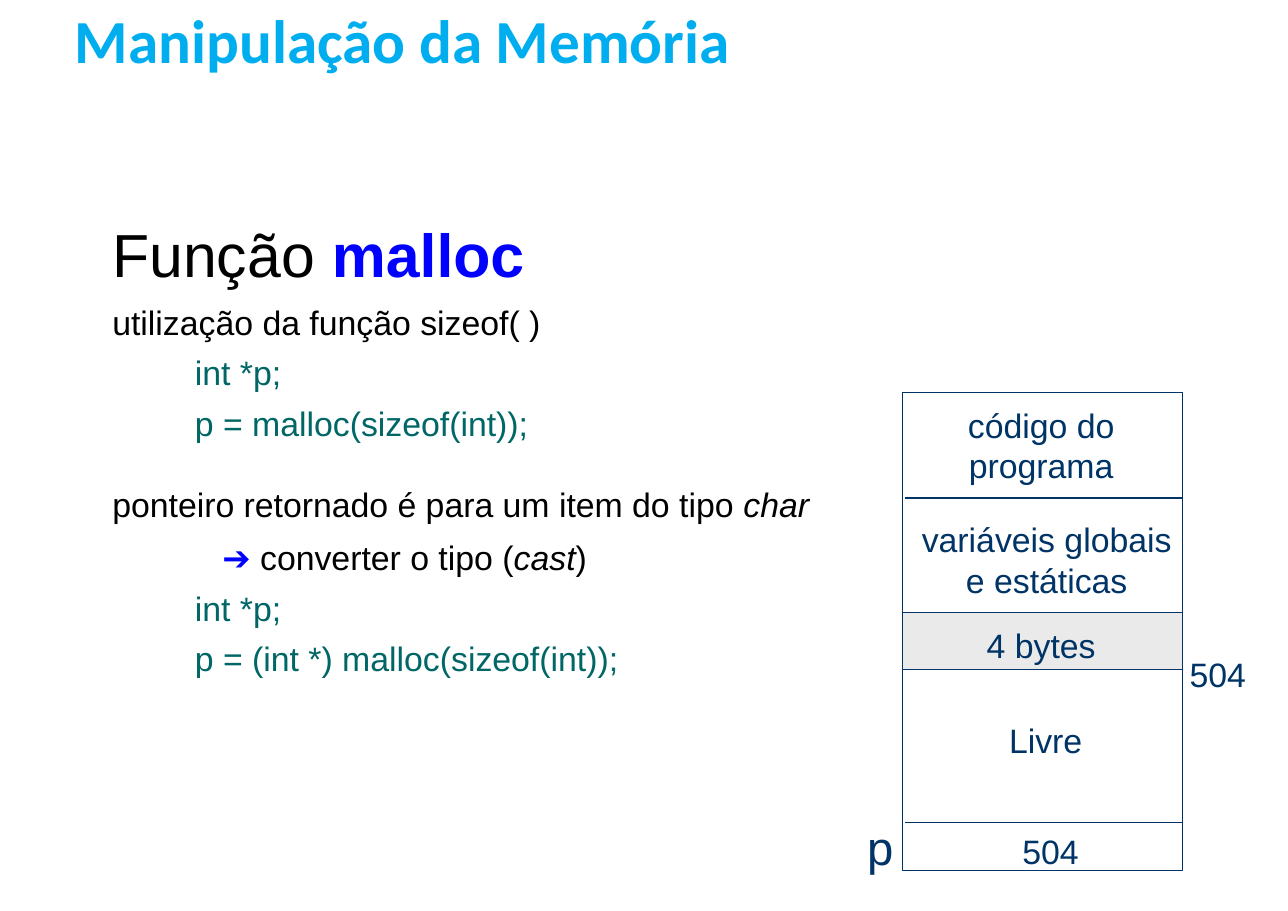
import pptx
import pptx.util
import pptx.dml.color
import pptx.enum.shapes
import pptx.enum.text
import pptx.oxml.ns
import lxml.etree

Pt = pptx.util.Pt
ALIGN = pptx.enum.text.PP_ALIGN
ANCHOR = pptx.enum.text.MSO_ANCHOR
COLOURS = {
    "title": "00AEEF", "text": "000000", "keyword": "0000FF",
    "code": "006666", "memory": "003366", "allocated": "EAEAEA",
}


def colour(name):
    return pptx.dml.color.RGBColor.from_string(COLOURS[name])


def set_values(target, values):
    for name, value in values.items():
        setattr(target, name, value)


def place(shape, box):
    set_values(shape, dict(zip(("left", "top", "width", "height"), map(Pt, box))))


def add_span(para, text, size, colour_name, **font_values):
    span = para.add_run()
    span.text = text
    set_values(span.font, {"name": "Arial", "size": Pt(size), **font_values})
    span.font.color.rgb = colour(colour_name)


def remove_bullet(para, indent):
    properties = para._p.get_or_add_pPr()
    properties.set("marL", str(Pt(indent)))
    properties.set("indent", "0")
    lxml.etree.SubElement(properties, pptx.oxml.ns.qn("a:buNone"))


def fill_title(title, box):
    place(title, box)
    set_values(title.text_frame, {
        "margin_left": Pt(25), "margin_top": 0, "margin_bottom": 0,
        "vertical_anchor": ANCHOR.BOTTOM, "word_wrap": True,
        "auto_size": pptx.enum.text.MSO_AUTO_SIZE.NONE,
    })
    para = title.text_frame.paragraphs[0]
    para.alignment = ALIGN.LEFT
    add_span(para, "Manipulação da Memória", 40, "title", name="Calibri", bold=True)


def fill_body(body, box):
    place(body, box)
    frame = body.text_frame
    set_values(frame, {
        "word_wrap": True, "vertical_anchor": ANCHOR.TOP,
        "auto_size": pptx.enum.text.MSO_AUTO_SIZE.NONE,
    })
    italic = {"italic": True}
    # level, left indent, space before, spans
    lines = [
        (0, 0, 0, [("Função ", 39.7, "text", {}),
                   ("malloc", 39.7, "keyword", {"bold": True})]),
        (1, 0, 7.7, [("utilização da função sizeof( )", 22.1, "text", {})]),
        (2, 54, 6.6, [("int *p;", 22.1, "code", {})]),
        (2, 54, 6.6, [("p = malloc(sizeof(int));", 22.1, "code", {})]),
        (1, 0, 26.7, [("ponteiro retornado é para um item do tipo ", 22.1, "text", {}),
                      ("char", 22.1, "text", italic)]),
        (1, 72, 7.7, [("➔", 22.1, "keyword", {}),
                      (" converter o tipo (", 22.1, "text", {}),
                      ("cast", 22.1, "text", italic),
                      (")", 22.1, "text", {})]),
        (2, 54, 6.6, [("int *p;", 22.1, "code", {})]),
        (2, 54, 6.6, [("p = (int *) malloc(sizeof(int));", 22.1, "code", {})]),
    ]
    for index, (level, indent, gap, spans) in enumerate(lines):
        para = frame.add_paragraph() if index else frame.paragraphs[0]
        set_values(para, {"level": level, "space_before": Pt(gap), "alignment": ALIGN.LEFT})
        remove_bullet(para, indent)
        for text, size, colour_name, font_values in spans:
            add_span(para, text, size, colour_name, **font_values)


def add_block(page, box, fill=None):
    block = page.shapes.add_shape(pptx.enum.shapes.MSO_SHAPE.RECTANGLE, *map(Pt, box))
    block.shadow.inherit = False
    if fill:
        block.fill.solid()
        block.fill.fore_color.rgb = colour(fill)
    else:
        block.fill.background()
    block.line.color.rgb = colour("memory")
    block.line.width = Pt(0.75)


def add_divider(page, start, end, y):
    divider = page.shapes.add_connector(
        pptx.enum.shapes.MSO_CONNECTOR.STRAIGHT, Pt(start), Pt(y), Pt(end), Pt(y))
    divider.line.color.rgb = colour("memory")
    divider.line.width = Pt(0.75)
    lxml.etree.SubElement(divider._element.spPr, pptx.oxml.ns.qn("a:effectLst"))


def add_label(page, text, box, size=22.1, alignment=ALIGN.CENTER):
    frame = page.shapes.add_textbox(*map(Pt, box)).text_frame
    frame.word_wrap = True
    set_values(frame, {f"margin_{side}": Pt(1.5) for side in ("left", "top", "right", "bottom")})
    frame.paragraphs[0].alignment = alignment
    add_span(frame.paragraphs[0], text, size, "memory")


def add_memory_map(page, box):
    left, top, width, height = box
    add_block(page, box)
    for offset, end in ((69.2, width), (144, width - 12), (281.6, width)):
        add_divider(page, left + 2, left + end, top + offset)
    add_block(page, (left, top + 144, width, 37.4), "allocated")

    sections = [("código do programa", 0, 6.5), ("variáveis globais e estáticas", 3.6, 81.4),
                ("Livre", 2.9, 212.4)]
    for text, x, y in sections:
        add_label(page, text, (left + x, top + y, 181.4, 25.2))
    add_label(page, "4 bytes", (left + 18.7, top + 150.5, 144, 31))
    add_label(page, "504", (left + 65.5, top + 285.1, 62.6, 31))
    add_label(page, "504", (left + 163.4, top + 169.2, 62.6, 31), alignment=ALIGN.RIGHT)
    add_label(page, "p", (left - 67, top + 277.2, 62.6, 31), 30.9, ALIGN.RIGHT)


def main():
    deck = pptx.Presentation()
    deck.slide_width, deck.slide_height = Pt(841.68), Pt(595.44)
    page = deck.slides.add_slide(deck.slide_layouts[1])
    fill_title(page.shapes.title, (24, 0.7, 675.4, 49))
    fill_body(page.placeholders[1], (66.2, 138, 517, 410.4))
    add_memory_map(page, (589.7, 256.3, 182.9, 312.5))
    deck.save("out.pptx")


if __name__ == "__main__":
    main()
